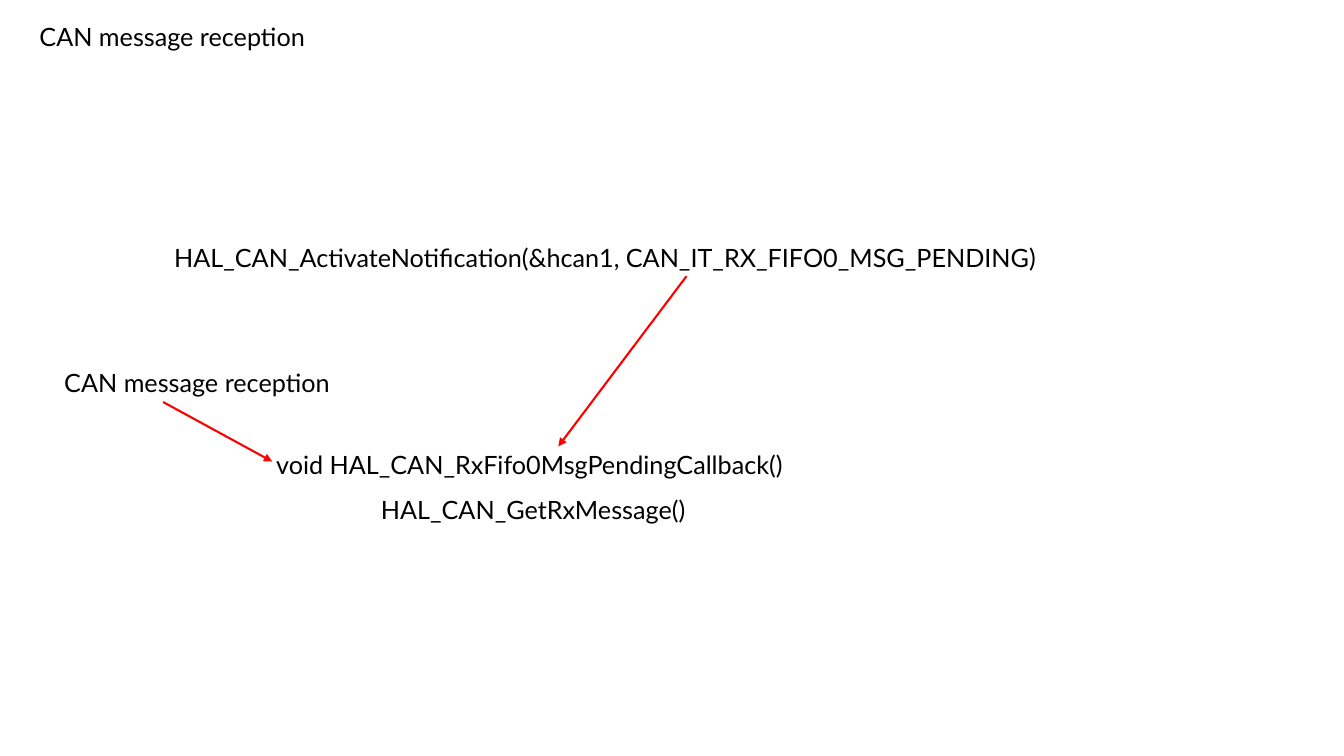
from dataclasses import dataclass

from lxml import etree
from pptx import Presentation
from pptx import util as u
from pptx.dml.color import RGBColor
from pptx.enum import shapes, text
from pptx.oxml.ns import qn


@dataclass(frozen=True)
class Theme:
    font: str = "Lato"
    size: int = 18
    ink: str = "000000"
    red: str = "FF0000"
    line: float = 1.5
    row: float = 1.02  # height of one text line, cm


class Board:
    def __init__(self, slide, theme):
        self.slide = slide
        self.theme = theme

    def fill(self, box, words, left, top, width):
        """Place a box and fill it with one styled line."""
        t = self.theme
        box.left, box.top = u.Cm(left), u.Cm(top)
        box.width, box.height = u.Cm(width), u.Cm(t.row)
        frame = box.text_frame
        frame.text = words
        frame.word_wrap = True
        frame.auto_size = text.MSO_AUTO_SIZE.SHAPE_TO_FIT_TEXT
        frame.vertical_anchor = text.MSO_ANCHOR.TOP
        para = frame.paragraphs[0]
        para.alignment = text.PP_ALIGN.LEFT
        para.font.name = t.font
        para.font.size = u.Pt(t.size)
        para.font.color.rgb = RGBColor.from_string(t.ink)

    def title(self, words, *place):
        self.fill(self.slide.shapes.title, words, *place)

    def label(self, words, *place):
        self.fill(self.slide.shapes.add_textbox(0, 0, 0, 0), words, *place)

    def arrow(self, *ends):
        t = self.theme
        link = self.slide.shapes.add_connector(
            shapes.MSO_CONNECTOR.STRAIGHT, *map(u.Cm, ends))
        link.line.color.rgb = RGBColor.from_string(t.red)
        link.line.width = u.Pt(t.line)
        props = link._element.spPr
        head = etree.SubElement(props.find(qn("a:ln")), qn("a:tailEnd"))
        head.set("type", "triangle")
        etree.SubElement(props, qn("a:effectLst"))


def main():
    deck = Presentation()
    deck.slide_width, deck.slide_height = u.Cm(33.87), u.Cm(19.05)
    board = Board(deck.slides.add_slide(deck.slide_layouts[5]), Theme())

    # Title
    board.title("CAN message reception", 0.74, 0.41, 13.51)

    # Calls and event: left, top, width
    board.label("HAL_CAN_ActivateNotification(&hcan1, CAN_IT_RX_FIFO0_MSG_PENDING)",
                4.14, 5.99, 26.8)
    board.label("CAN message reception", 1.37, 9.14, 8.71)
    board.label("void HAL_CAN_RxFifo0MsgPendingCallback()", 6.71, 11.2, 17.27)
    board.label("HAL_CAN_GetRxMessage()", 9.35, 12.32, 11.3)

    # Arrows into the callback: from x, y to x, y
    board.arrow(17.3, 6.96, 14.07, 11.25)
    board.arrow(4.11, 10.13, 6.86, 11.63)

    deck.save("out.pptx")


if __name__ == "__main__":
    main()
